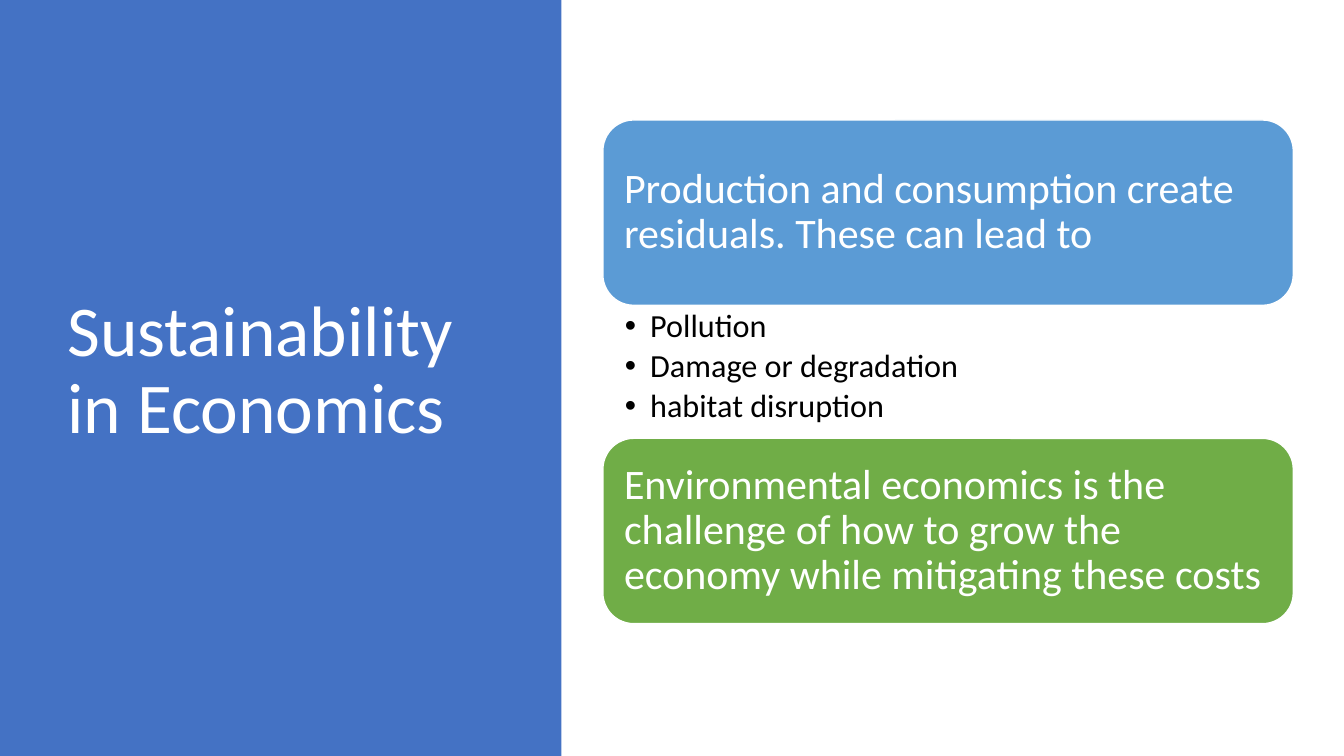
from dataclasses import dataclass

from lxml import etree
from pptx import Presentation
from pptx.dml.color import RGBColor
from pptx.enum import shapes, text
from pptx.oxml import ns
from pptx.util import Pt


@dataclass(frozen=True)
class Theme:
    font: str = "Calibri"
    panel: str = "4472C4"
    blue: str = "5B9BD5"
    green: str = "70AD47"
    white: str = "FFFFFF"
    black: str = "000000"
    title_size: float = 51
    card_size: float = 30
    bullet_size: float = 23
    line_spacing: float = 0.9


@dataclass(frozen=True)
class Box:
    left: float
    top: float
    width: float
    height: float

    def emu(self) -> tuple[int, int, int, int]:
        return Pt(self.left), Pt(self.top), Pt(self.width), Pt(self.height)


@dataclass(frozen=True)
class Card:
    words: str
    fill: str
    top: float


THEME = Theme()
SLIDE_W, SLIDE_H = 960, 540
CARD_LEFT, CARD_W, CARD_H = 430.6, 493.2, 132.4
FIRST_TOP, BULLETS_H = 85.7, 95
BULLETS_TOP = FIRST_TOP + CARD_H
CARDS = [
    Card("Production and consumption create residuals. These can lead to",
         THEME.blue, FIRST_TOP),
    Card("Environmental economics is the challenge of how to grow the economy "
         "while mitigating these costs", THEME.green, BULLETS_TOP + BULLETS_H),
]
BULLETS = ["Pollution", "Damage or degradation", "habitat disruption"]


def add_block(slide, kind, box: Box, fill: str):
    sp = slide.shapes.add_shape(kind, *box.emu())
    sp.shadow.inherit = False
    sp.fill.solid()
    sp.fill.fore_color.rgb = RGBColor.from_string(fill)
    sp.line.fill.background()
    return sp


def write(sp, lines: list[str], size: float, color: str, anchor,
          inset_x: float, inset_y: float) -> None:
    tf = sp.text_frame
    tf.text = "\n".join(lines)
    tf.word_wrap = True
    tf.vertical_anchor = anchor
    tf.margin_left = tf.margin_right = Pt(inset_x)
    tf.margin_top = tf.margin_bottom = Pt(inset_y)
    for p in tf.paragraphs:
        p.alignment = text.PP_ALIGN.LEFT
        p.line_spacing = THEME.line_spacing
        for r in p.runs:
            r.font.name = THEME.font
            r.font.size = Pt(size)
            r.font.color.rgb = RGBColor.from_string(color)


def add_bullet(p, indent: float) -> None:
    p.space_after = Pt(4)
    pPr = p._p.get_or_add_pPr()
    pPr.set("marL", str(Pt(indent)))
    pPr.set("indent", str(-Pt(indent)))
    etree.SubElement(pPr, ns.qn("a:buFont")).set("typeface", "Arial")
    etree.SubElement(pPr, ns.qn("a:buChar")).set("char", "•")


def add_title(slide) -> None:
    add_block(slide, shapes.MSO_SHAPE.RECTANGLE, Box(0, 0, 401, SLIDE_H), THEME.panel)
    sp = slide.shapes.add_textbox(*Box(41, 49, 299.5, 433.4).emu())
    write(sp, ["Sustainability in Economics"], THEME.title_size, THEME.white,
          text.MSO_ANCHOR.MIDDLE, 7.2, 3.6)


def add_card(slide, card: Card) -> None:
    box = Box(CARD_LEFT, card.top, CARD_W, CARD_H)
    sp = add_block(slide, shapes.MSO_SHAPE.ROUNDED_RECTANGLE, box, card.fill)
    sp.line.color.rgb = RGBColor.from_string(THEME.white)
    sp.line.width = Pt(1)
    write(sp, [card.words], THEME.card_size, THEME.white,
          text.MSO_ANCHOR.MIDDLE, 8.64, 8.64)


def add_bullets(slide) -> None:
    box = Box(CARD_LEFT, BULLETS_TOP, CARD_W, BULLETS_H)
    sp = slide.shapes.add_textbox(*box.emu())
    write(sp, BULLETS, THEME.bullet_size, THEME.black,
          text.MSO_ANCHOR.TOP, 15.8, 2.9)
    for p in sp.text_frame.paragraphs:
        add_bullet(p, 18)


def main() -> None:
    prs = Presentation()
    prs.slide_width, prs.slide_height = Pt(SLIDE_W), Pt(SLIDE_H)
    slide = prs.slides.add_slide(prs.slide_layouts[6])
    add_title(slide)
    for card in CARDS:
        add_card(slide, card)
    add_bullets(slide)
    prs.save("out.pptx")


if __name__ == "__main__":
    main()
